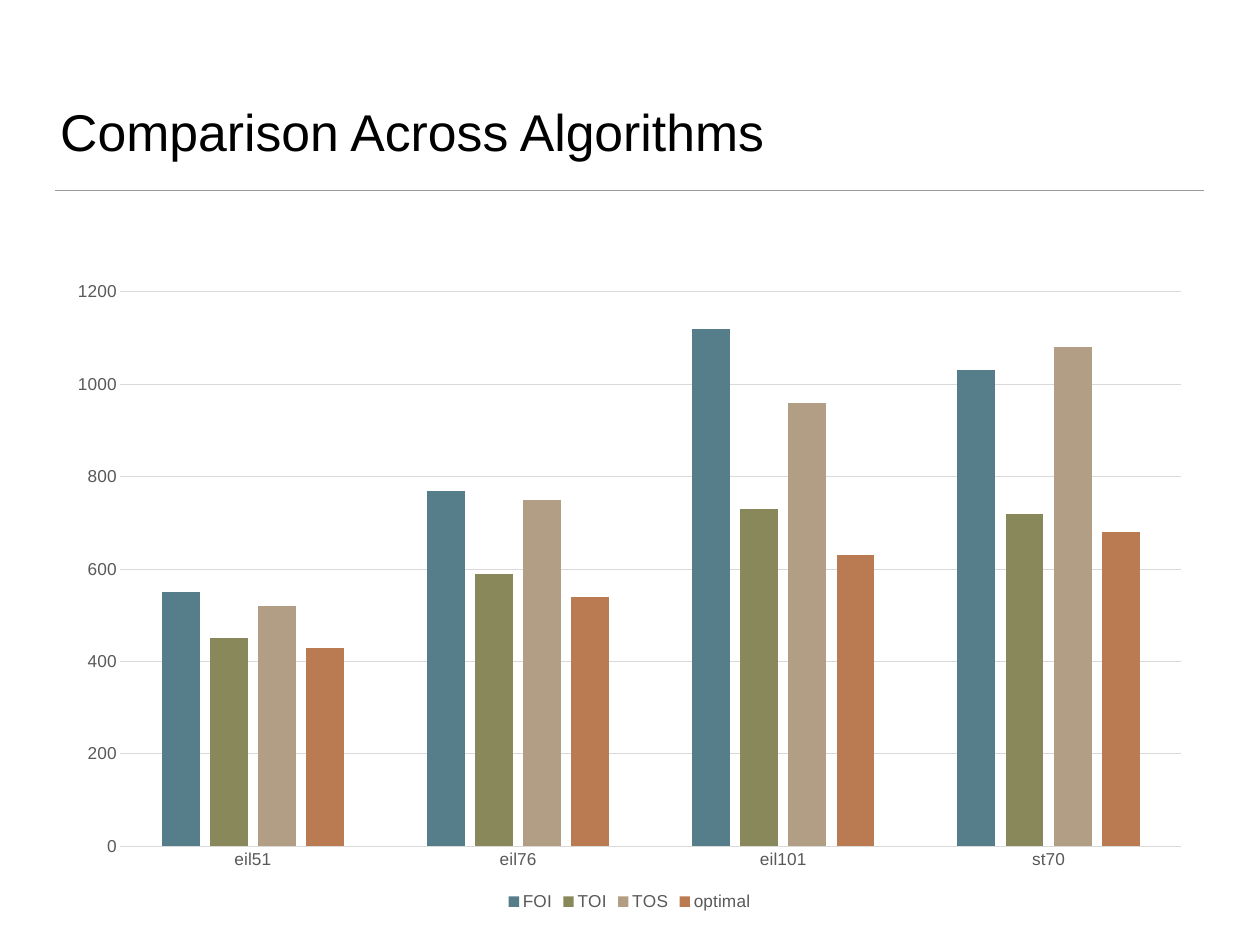
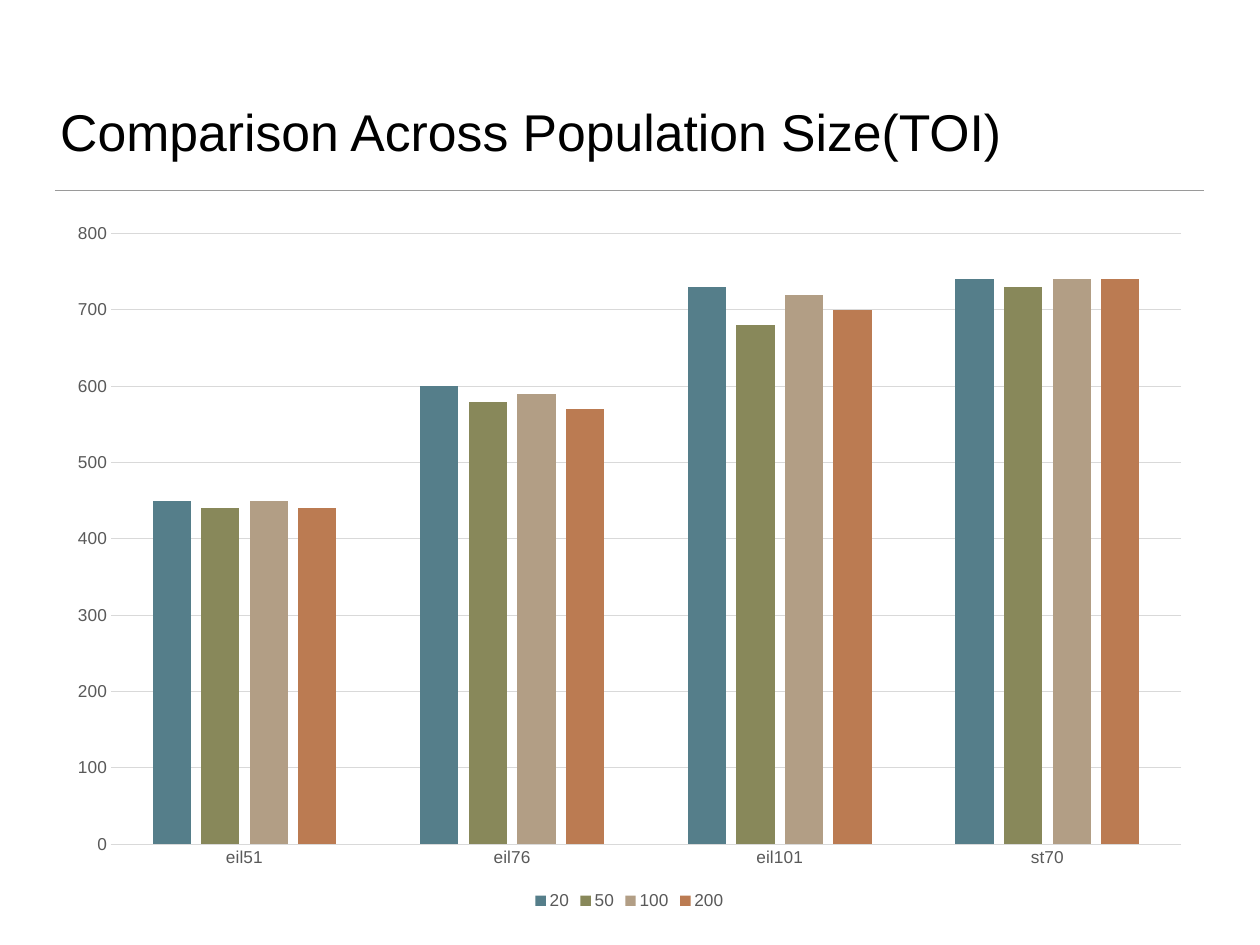
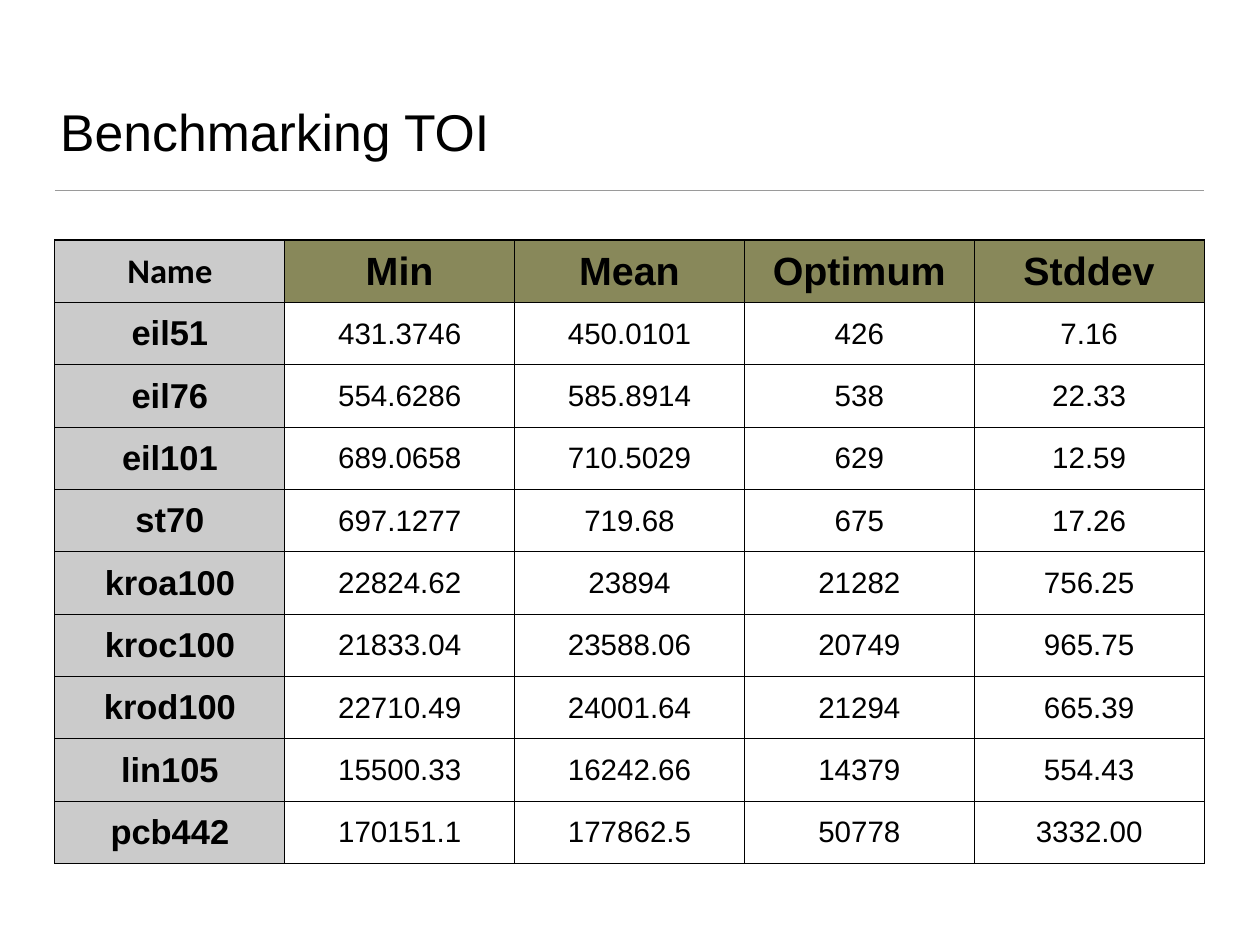
from dataclasses import dataclass

from lxml import etree
from pptx import Presentation
from pptx.chart.data import CategoryChartData
from pptx.dml.color import RGBColor
from pptx.enum.chart import XL_CHART_TYPE, XL_LEGEND_POSITION, XL_TICK_MARK
from pptx.enum.shapes import MSO_CONNECTOR
from pptx.enum.text import MSO_ANCHOR, MSO_AUTO_SIZE, PP_ALIGN
from pptx.oxml.ns import qn
from pptx.util import Inches, Pt

CLUSTERED = XL_CHART_TYPE.COLUMN_CLUSTERED
LEGEND_BOTTOM = XL_LEGEND_POSITION.BOTTOM
NO_TICK = XL_TICK_MARK.NONE
STRAIGHT = MSO_CONNECTOR.STRAIGHT
BOTTOM, MIDDLE = MSO_ANCHOR.BOTTOM, MSO_ANCHOR.MIDDLE
NO_AUTOFIT = MSO_AUTO_SIZE.NONE
LEFT, CENTER = PP_ALIGN.LEFT, PP_ALIGN.CENTER
TITLE_ONLY = 5


@dataclass(frozen=True)
class Theme:
    font: str = "Arial"
    corner_font: str = "Calibri"
    text: str = "000000"
    muted: str = "595959"
    rule: str = "9A9A9A"
    grid: str = "D9D9D9"
    row_head: str = "CBCBCB"
    column_head: str = "88885A"
    series: tuple = ("557E8A", "88885A", "B29E85", "BB7B52")
    title_size: int = 42
    chart_size: int = 14
    column_head_size: int = 32
    row_head_size: int = 28
    value_size: int = 24


THEME = Theme()

# Shared frame
MARGIN, CONTENT_WIDTH = 0.62, 12.97
TITLE_BOTTOM, RULE_TOP = 1.89, 2.15

INSTANCES = ["eil51", "eil76", "eil101", "st70"]
ALGORITHMS = {
    "FOI": [550, 770, 1120, 1030],
    "TOI": [450, 590, 730, 720],
    "TOS": [520, 750, 960, 1080],
    "optimal": [430, 540, 630, 680],
}
POPULATION_SIZES = {
    "20": [450, 600, 730, 740],
    "50": [440, 580, 680, 730],
    "100": [450, 590, 720, 740],
    "200": [440, 570, 700, 740],
}
BENCHMARK = [
    ["Name", "Min", "Mean", "Optimum", "Stddev"],
    ["eil51", "431.3746", "450.0101", "426", "7.16"],
    ["eil76", "554.6286", "585.8914", "538", "22.33"],
    ["eil101", "689.0658", "710.5029", "629", "12.59"],
    ["st70", "697.1277", "719.68", "675", "17.26"],
    ["kroa100", "22824.62", "23894", "21282", "756.25"],
    ["kroc100", "21833.04", "23588.06", "20749", "965.75"],
    ["krod100", "22710.49", "24001.64", "21294", "665.39"],
    ["lin105", "15500.33", "16242.66", "14379", "554.43"],
    ["pcb442", "170151.1", "177862.5", "50778", "3332.00"],
]


def rgb(color):
    return RGBColor.from_string(color)


def set_font(font, size, color, name=THEME.font, bold=False):
    font.name, font.size, font.bold = name, Pt(size), bold
    font.color.rgb = rgb(color)


def set_line(line, color, width):
    line.color.rgb = rgb(color)
    line.width = Pt(width)


def add_titled_slide(deck, heading, title_top=0.36):
    slide = deck.slides.add_slide(deck.slide_layouts[TITLE_ONLY])

    # Rule under the title
    rule = slide.shapes.add_connector(
        STRAIGHT, Inches(MARGIN), Inches(RULE_TOP),
        Inches(MARGIN + CONTENT_WIDTH), Inches(RULE_TOP))
    set_line(rule.line, THEME.rule, 1)
    etree.SubElement(rule._element.spPr, qn("a:effectLst"))

    # Title
    title = slide.shapes.title
    title.left, title.top = Inches(MARGIN), Inches(title_top)
    title.width = Inches(CONTENT_WIDTH)
    title.height = Inches(TITLE_BOTTOM - title_top)
    frame = title.text_frame
    frame.text = heading
    frame.auto_size, frame.word_wrap = NO_AUTOFIT, True
    frame.vertical_anchor = BOTTOM
    frame.margin_left = frame.margin_right = Inches(0.06)
    frame.margin_top = frame.margin_bottom = Inches(0.06)
    paragraph = frame.paragraphs[0]
    paragraph.alignment = LEFT
    set_font(paragraph.runs[0].font, THEME.title_size, THEME.text)
    return slide


def add_column_chart(slide, top, height, results, axis_max, axis_step):
    data = CategoryChartData()
    data.categories = INSTANCES
    for name, values in results.items():
        data.add_series(name, values)
    chart = slide.shapes.add_chart(
        CLUSTERED, Inches(MARGIN), Inches(top),
        Inches(CONTENT_WIDTH), Inches(height), data).chart
    chart.has_title = False
    set_font(chart.font, THEME.chart_size, THEME.text)

    # Columns
    plot = chart.plots[0]
    plot.gap_width, plot.overlap = 219, -27
    plot.vary_by_categories = False
    for series, color in zip(plot.series, THEME.series):
        series.format.fill.solid()
        series.format.fill.fore_color.rgb = rgb(color)

    # Axes
    for axis in (chart.category_axis, chart.value_axis):
        axis.major_tick_mark = axis.minor_tick_mark = NO_TICK
        set_font(axis.tick_labels.font, THEME.chart_size, THEME.muted)
    set_line(chart.category_axis.format.line, THEME.grid, 0.75)
    scale = chart.value_axis
    scale.minimum_scale, scale.maximum_scale = 0, axis_max
    scale.major_unit = axis_step
    scale.format.line.fill.background()
    set_line(scale.major_gridlines.format.line, THEME.grid, 0.75)

    # Legend
    chart.has_legend = True
    chart.legend.position = LEGEND_BOTTOM
    chart.legend.include_in_layout = False
    set_font(chart.legend.font, THEME.chart_size, THEME.muted)


def add_cell_borders(cell):
    properties = cell._tc.get_or_add_tcPr()
    for index, side in enumerate(("lnL", "lnR", "lnT", "lnB")):
        border = etree.Element(qn(f"a:{side}"), w=str(Pt(1)))
        fill = etree.SubElement(border, qn("a:solidFill"))
        etree.SubElement(fill, qn("a:srgbClr"), val=THEME.text)
        properties.insert(index, border)


def cell_style(row, column):
    """Return fill, type size, font and weight for a table position."""
    if column == 0:
        font = THEME.corner_font if row == 0 else THEME.font
        return THEME.row_head, THEME.row_head_size, font, True
    if row == 0:
        return THEME.column_head, THEME.column_head_size, THEME.font, True
    return None, THEME.value_size, THEME.font, False


def format_cell(cell, text, fill, size, font, bold):
    cell.text = text
    cell.vertical_anchor = MIDDLE
    cell.margin_left = cell.margin_right = cell.margin_top = Inches(0.01)
    cell.margin_bottom = 0
    paragraph = cell.text_frame.paragraphs[0]
    paragraph.alignment = CENTER
    set_font(paragraph.runs[0].font, size, THEME.text, font, bold)
    if fill:
        cell.fill.solid()
        cell.fill.fore_color.rgb = rgb(fill)
    else:
        cell.fill.background()
    add_cell_borders(cell)


def add_benchmark_table(slide, top, height, rows):
    table = slide.shapes.add_table(
        len(rows), len(rows[0]), Inches(MARGIN), Inches(top),
        Inches(CONTENT_WIDTH), Inches(height)).table
    table.first_row = table.horz_banding = False
    for row, texts in enumerate(rows):
        for column, text in enumerate(texts):
            format_cell(table.cell(row, column), text, *cell_style(row, column))


def main():
    deck = Presentation()
    deck.slide_width, deck.slide_height = Inches(14.22), Inches(10.67)

    algorithms = add_titled_slide(deck, "Comparison Across Algorithms")
    add_column_chart(algorithms, 3.04, 7.29, ALGORITHMS, 1200, 200)

    population = add_titled_slide(
        deck, "Comparison Across Population Size(TOI)", title_top=0.14)
    add_column_chart(population, 2.37, 7.95, POPULATION_SIZES, 800, 100)

    benchmark = add_titled_slide(deck, "Benchmarking TOI")
    add_benchmark_table(benchmark, 2.71, 7.04, BENCHMARK)

    deck.save("out.pptx")


main()
